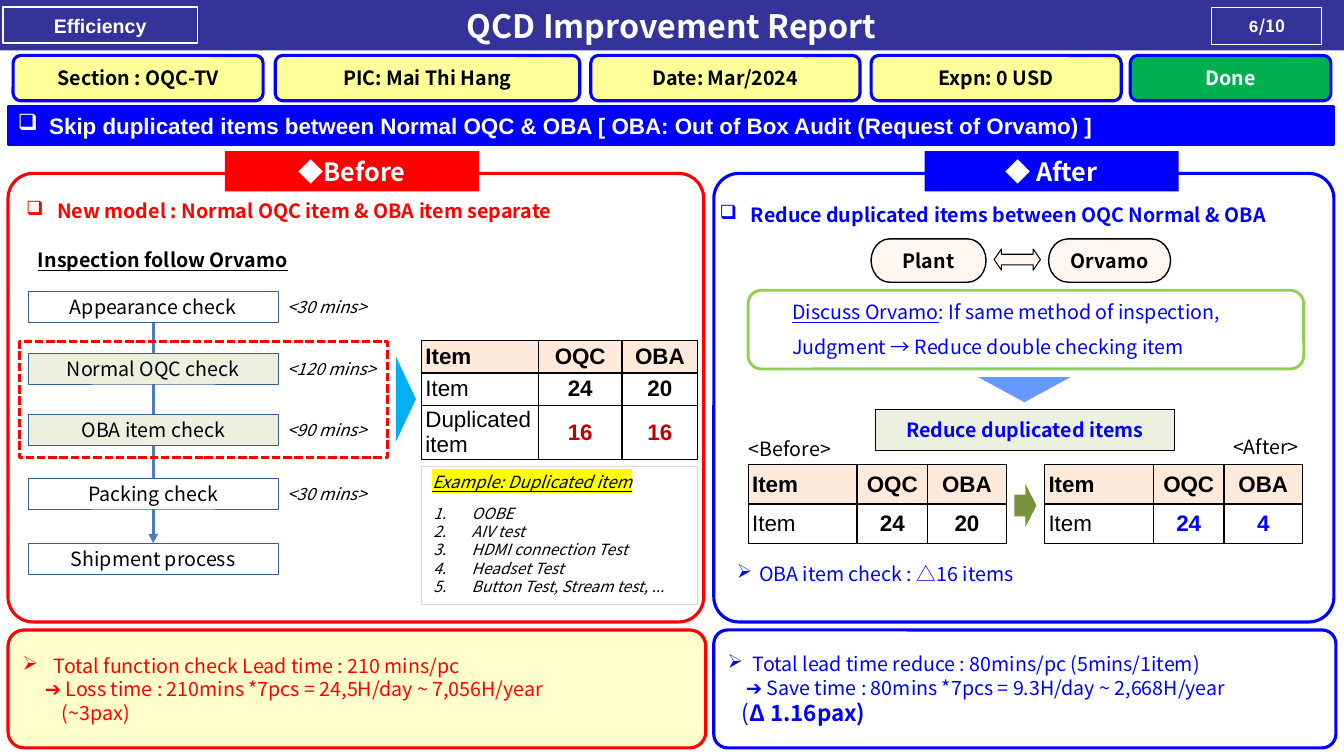
from lxml import etree
from pptx import Presentation
from pptx.dml.color import RGBColor
from pptx.enum.dml import MSO_LINE
from pptx.enum.shapes import MSO_CONNECTOR, MSO_SHAPE
from pptx.enum.text import MSO_ANCHOR, MSO_AUTO_SIZE, PP_ALIGN
from pptx.oxml.ns import qn
from pptx.util import Inches, Pt

RECT, ROUND = MSO_SHAPE.RECTANGLE, MSO_SHAPE.ROUNDED_RECTANGLE
TRIANGLE, PILL = MSO_SHAPE.ISOSCELES_TRIANGLE, MSO_SHAPE.FLOWCHART_TERMINATOR
PROCESS, RIGHT_ARROW = MSO_SHAPE.FLOWCHART_PROCESS, MSO_SHAPE.RIGHT_ARROW
DOUBLE_ARROW = MSO_SHAPE.LEFT_RIGHT_ARROW
STRAIGHT, DASH = MSO_CONNECTOR.STRAIGHT, MSO_LINE.SQUARE_DOT
LEFT, CENTER = PP_ALIGN.LEFT, PP_ALIGN.CENTER
TOP, MIDDLE = MSO_ANCHOR.TOP, MSO_ANCHOR.MIDDLE
NO_FIT = MSO_AUTO_SIZE.NONE
NOTO, ARIAL, COURIER = "Noto Sans CJK JP", "Arial", "Courier New"

BLACK = RGBColor(0x00, 0x00, 0x00)
WHITE = RGBColor(0xFF, 0xFF, 0xFF)
RED = RGBColor(0xFF, 0x00, 0x00)
BLUE = RGBColor(0x00, 0x00, 0xFF)
NAVY = RGBColor(0x33, 0x33, 0x99)
YELLOW = RGBColor(0xFF, 0xFF, 0x00)
PALE_YELLOW = RGBColor(0xFF, 0xFF, 0x99)
CREAM = RGBColor(0xFF, 0xFF, 0xCC)
GREEN = RGBColor(0x00, 0xB0, 0x50)
LIME = RGBColor(0x92, 0xD0, 0x50)
OLIVE = RGBColor(0x77, 0x93, 0x3C)
PALE_GREEN = RGBColor(0xEB, 0xF1, 0xDE)
PEACH = RGBColor(0xFD, 0xEA, 0xDA)
PALE_PEACH = RGBColor(0xFE, 0xF6, 0xF0)
SKY = RGBColor(0x00, 0xB0, 0xF0)
LIGHT_BLUE = RGBColor(0x66, 0x99, 0xFF)
FLOW_BLUE = RGBColor(0x4B, 0x7E, 0xBC)
STEP_LINE = RGBColor(0x3A, 0x5F, 0x8C)
DARK_RED = RGBColor(0xC0, 0x00, 0x00)
VIOLET = RGBColor(0x17, 0x06, 0xF4)
GRAY = RGBColor(0xD9, 0xD9, 0xD9)


def add_shape(s, kind, box, fill=None, line=None, width=1, adj=None, rotation=0):
    """Add a flat preset shape."""
    sp = s.shapes.add_shape(kind, *map(Inches, box))
    sp.shadow.inherit = False
    sp.rotation = rotation
    if adj is not None:
        sp.adjustments[0] = adj
    if fill is None:
        sp.fill.background()
    else:
        sp.fill.solid()
        sp.fill.fore_color.rgb = fill
    if line is None:
        sp.line.fill.background()
    else:
        sp.line.color.rgb = line
        sp.line.width = Pt(width)
    return sp


def set_frame(tf, anchor=MIDDLE, side=0.1, edge=0.05):
    """Set wrapping, anchor and margins of a text frame."""
    tf.word_wrap = True
    tf.auto_size = NO_FIT
    tf.vertical_anchor = anchor
    tf.margin_left = tf.margin_right = Inches(side)
    tf.margin_top = tf.margin_bottom = Inches(edge)


def add_run(p, text, size=14, color=BLACK, bold=False, italic=False,
            underline=False, font=NOTO, highlight=None):
    """Add one formatted run to a paragraph."""
    r = p.add_run()
    r.text = text
    r.font.name = font
    r.font.size = Pt(size)
    r.font.bold, r.font.italic, r.font.underline = bold, italic, underline
    r.font.color.rgb = color
    if highlight is not None:
        mark = etree.Element(qn("a:highlight"))
        etree.SubElement(mark, qn("a:srgbClr"), val=str(highlight))
        r.font._element.find(qn("a:solidFill")).addnext(mark)


def add_paragraph(tf, text="", align=LEFT, indent=0, hang=0, bullet=None, **style):
    """Fill the empty first paragraph or add another one."""
    p = tf.paragraphs[0] if not tf.text else tf.add_paragraph()
    p.alignment = align
    pPr = p._p.get_or_add_pPr()
    pPr.set("marL", str(Inches(indent)))
    pPr.set("indent", str(-Inches(hang)))
    if bullet == "1.":
        etree.SubElement(pPr, qn("a:buAutoNum"), type="arabicPeriod")
    elif bullet:
        etree.SubElement(pPr, qn("a:buChar"), char=bullet)
    if text:
        add_run(p, text, **style)
    return p


def add_label(s, kind, box, text, fill=None, line=None, width=1, adj=None, **style):
    """Add a shape with one centred line of text."""
    sp = add_shape(s, kind, box, fill, line, width, adj)
    set_frame(sp.text_frame, edge=0)
    add_paragraph(sp.text_frame, text, CENTER, **style)
    return sp


def add_textbox(s, box, text="", anchor=MIDDLE, **style):
    """Add a wrapping text box and return its frame."""
    tf = s.shapes.add_textbox(*map(Inches, box)).text_frame
    set_frame(tf, anchor)
    if text:
        add_paragraph(tf, text, **style)
    return tf


def add_item_table(s, left, top, widths, heights, rows, value_color):
    """Add a bordered item table whose last row has coloured values."""
    table = s.shapes.add_table(len(rows), len(widths), Inches(left), Inches(top),
                               Inches(sum(widths)), Inches(sum(heights))).table
    table.first_row = table.horz_banding = False
    for column, width in zip(table.columns, widths):
        column.width = Inches(width)
    for i, (row, height) in enumerate(zip(rows, heights)):
        table.rows[i].height = Inches(height)
        for j, text in enumerate(row):
            cell = table.cell(i, j)
            cell.vertical_anchor = MIDDLE
            cell.margin_left = Inches(0 if j else 0.04)
            cell.margin_right = cell.margin_top = cell.margin_bottom = 0
            tcPr = cell._tc.get_or_add_tcPr()
            for side in "LRTB":
                ln = etree.SubElement(tcPr, qn(f"a:ln{side}"), w=str(Pt(1)))
                fill = etree.SubElement(ln, qn("a:solidFill"))
                etree.SubElement(fill, qn("a:srgbClr"), val=str(BLACK))
            if i == 0:
                cell.fill.solid()
                cell.fill.fore_color.rgb = PEACH
            else:
                cell.fill.background()
            color = value_color if j and i == len(rows) - 1 else BLACK
            add_paragraph(cell.text_frame, text, CENTER if j else LEFT, size=16,
                          color=color, bold=i == 0 or j > 0, font=ARIAL)


def add_header(s):
    """Add the title bar, the facts row and the topic banner."""
    title = s.shapes.title
    title.left, title.top, title.width, title.height = map(Inches, (0, 0, 13.33, 0.5))
    title.fill.solid()
    title.fill.fore_color.rgb = NAVY
    set_frame(title.text_frame)
    add_paragraph(title.text_frame, "QCD Improvement Report", CENTER, size=23,
                  color=WHITE, bold=True)
    add_label(s, RECT, (0.03, 0.07, 1.93, 0.36), "Efficiency", None, WHITE, 1.25,
              color=WHITE, bold=True, font=ARIAL)
    page = add_label(s, RECT, (12.02, 0.07, 1.09, 0.37), "6", None, WHITE, 0.75,
                     size=12, color=WHITE, bold=True, font=COURIER)
    add_run(page.text_frame.paragraphs[0], "/10", 12, WHITE, True)
    for left, width, text, fill, color in (
            (0.13, 2.48, "Section : OQC-TV", PALE_YELLOW, BLACK),
            (2.73, 3.02, "PIC: Mai Thi Hang", PALE_YELLOW, BLACK),
            (5.86, 2.67, "Date: Mar/2024", PALE_YELLOW, BLACK),
            (8.64, 2.48, "Expn: 0 USD", PALE_YELLOW, BLACK),
            (11.21, 1.99, "Done", GREEN, WHITE)):
        add_label(s, ROUND, (left, 0.55, width, 0.45), text, fill, BLUE, 2.25,
                  color=color, bold=True)
    banner = add_shape(s, PROCESS, (0.08, 1.06, 13.15, 0.37), BLUE, BLUE, 2)
    set_frame(banner.text_frame)
    add_paragraph(banner.text_frame, "Skip duplicated items between Normal OQC & OBA "
                  "[ OBA: Out of Box Audit (Request of Orvamo) ]", indent=0.31, hang=0.31,
                  bullet="❑", size=16, color=WHITE, bold=True, font=ARIAL)


def add_panel(s, left, width, tab_left, tab, heading, heading_box, color):
    """Add a framed panel with its tab and heading."""
    add_shape(s, ROUND, (left, 1.72, width, 4.45), None, color, 2.25, 0.056)
    add_label(s, RECT, (tab_left, 1.5, 2.52, 0.4), tab, color, size=18,
              color=WHITE, bold=True)
    add_textbox(s, heading_box, heading, indent=0.31, hang=0.31, bullet="❑",
                color=color, bold=True)


def add_result(s, left, width, fill, color, adj, indent, lines):
    """Add a result box and return its last paragraph."""
    sp = add_shape(s, ROUND, (left, 6.25, width, 1.17), fill, color, 2.25, adj)
    set_frame(sp.text_frame)
    for i, (text, margin, size) in enumerate(lines):
        p = add_paragraph(sp.text_frame, text, indent=margin, hang=0 if i else indent,
                          bullet=None if i else "➢", size=size, color=color)
    return p


def add_flow(s):
    """Add the inspection flow with its durations."""
    add_textbox(s, (0.12, 2.42, 2.99, 0.31), "Inspection follow Orvamo", align=CENTER,
                bold=True, underline=True)
    arrow = s.shapes.add_connector(STRAIGHT, Inches(1.52), Inches(3.2),
                                   Inches(1.52), Inches(5.39))
    arrow.line.color.rgb = FLOW_BLUE
    arrow.line.width = Pt(2.25)
    etree.SubElement(arrow.line._get_or_add_ln(), qn("a:tailEnd"), type="triangle")
    etree.SubElement(arrow._element.spPr, qn("a:effectLst"))
    steps = []
    for top, text, fill, minutes in (
            (2.89, "Appearance check", WHITE, "<30 mins>"),
            (3.5, "Normal OQC check", PALE_GREEN, "<120 mins>"),
            (4.11, "OBA item check", PALE_GREEN, "<90 mins>"),
            (4.74, "Packing check", WHITE, "<30 mins>"),
            (5.39, "Shipment process", WHITE, None)):
        steps.append(add_label(s, RECT, (0.28, top, 2.48, 0.31), text, fill,
                               STEP_LINE, 0.25))
        if minutes:
            add_textbox(s, (2.75, top, 1.2, 0.31), minutes, size=12, italic=True)
    arrow.begin_connect(steps[0], 2)
    arrow.end_connect(steps[-1], 0)
    focus = add_shape(s, RECT, (0.19, 3.39, 3.65, 1.15), None, RED, 2)
    focus.line.dash_style = DASH
    add_shape(s, TRIANGLE, (3.6, 3.86, 0.85, 0.2), SKY, rotation=90)


def add_before(s):
    """Add the contents of the Before side."""
    add_panel(s, 0.08, 6.9, 2.23, "◆Before",
              "New model : Normal OQC item & OBA item separate", (0.16, 1.92, 6.77, 0.34), RED)
    add_flow(s)
    add_item_table(s, 4.18, 3.38, (1.16, 0.83, 0.75), (0.32, 0.32, 0.54),
                   (("Item", "OQC", "OBA"), ("Item", "24", "20"),
                    ("Duplicated item", "16", "16")), DARK_RED)
    add_shape(s, RECT, (4.18, 4.63, 2.74, 1.36), None, GRAY, 0.25)
    add_textbox(s, (4.19, 4.68, 2.49, 0.2), "Example: Duplicated item", size=12,
                italic=True, underline=True, highlight=YELLOW)
    tf = add_textbox(s, (4.2, 4.87, 2.67, 1.17))
    for text in ("OOBE", "AIV test", "HDMI connection Test", "Headset Test",
                 "Button Test, Stream test, ..."):
        add_paragraph(tf, text, indent=0.38, hang=0.38, bullet="1.", size=11, italic=True)
    add_result(s, 0.08, 6.92, CREAM, RED, 0.135, 0.31, (
        ("Total function check Lead time : 210 mins/pc", 0.31, 14),
        ("➔ Loss time : 210mins *7pcs = 24,5H/day ~ 7,056H/year", 0.22, 14),
        ("(~3pax)", 0.39, 14)))


def add_after(s):
    """Add the contents of the After side."""
    add_panel(s, 7.08, 6.15, 9.17, "◆ After",
              "Reduce duplicated items between OQC Normal & OBA", (7.04, 1.96, 6.46, 0.34), BLUE)
    add_label(s, PILL, (8.64, 2.37, 1.14, 0.43), "Plant", PALE_PEACH, BLACK, bold=True)
    add_label(s, PILL, (10.4, 2.37, 1.21, 0.43), "Orvamo", PALE_PEACH, BLACK, bold=True)
    swap = add_shape(s, DOUBLE_ARROW, (9.86, 2.47, 0.46, 0.21), PALE_PEACH, BLACK, 0.75)
    swap.adjustments[1] = 0.346
    add_shape(s, ROUND, (7.42, 2.88, 5.51, 0.78), None, LIME, 2)
    tf = add_textbox(s, (7.76, 2.81, 5.17, 0.76), anchor=TOP)
    p = add_paragraph(tf, "Discuss Orvamo", color=BLUE, underline=True)
    p.line_spacing = 1.5
    add_run(p, ": If same method of inspection, Judgment → Reduce double checking item",
            color=BLUE)
    add_shape(s, TRIANGLE, (9.7, 3.74, 0.92, 0.25), LIGHT_BLUE, rotation=180)
    add_label(s, RECT, (8.68, 4.06, 2.97, 0.41), "Reduce duplicated items", PALE_GREEN,
              BLACK, 0.25, color=BLUE, bold=True)
    for caption, caption_box, left, values, color in (
            ("<Before>", (7.21, 4.31, 1.25, 0.28), 7.42, ("24", "20"), BLACK),
            ("<After>", (11.93, 4.29, 1.25, 0.28), 10.36, ("24", "4"), BLUE)):
        add_textbox(s, caption_box, caption, align=CENTER)
        add_item_table(s, left, 4.61, (1.08, 0.7, 0.78), (0.39, 0.39),
                       (("Item", "OQC", "OBA"), ("Item", *values)), color)
    add_shape(s, RIGHT_ARROW, (10.06, 4.8, 0.22, 0.43), OLIVE)
    tf = add_textbox(s, (7.21, 5.52, 5.61, 0.34))
    p = add_paragraph(tf, "OBA item check : ", indent=0.22, hang=0.22, bullet="➢", color=BLUE)
    add_run(p, "△", color=VIOLET)
    add_run(p, "16 items", color=BLUE)
    p = add_result(s, 7.08, 6.17, None, BLUE, 0.117, 0.25, (
        ("Total lead time reduce : 80mins/pc (5mins/1item)", 0.25, 14),
        ("➔ Save time : 80mins *7pcs = 9.3H/day ~ 2,668H/year", 0.18, 14),
        ("(", 0.14, 16)))
    add_run(p, "Δ 1.16pax)", 16, BLUE, True)


def main():
    """Build the slide and save it."""
    prs = Presentation()
    prs.slide_width, prs.slide_height = Inches(13.33), Inches(7.5)
    s = prs.slides.add_slide(prs.slide_layouts[5])
    add_header(s)
    add_before(s)
    add_after(s)
    prs.save("out.pptx")


if __name__ == "__main__":
    main()
